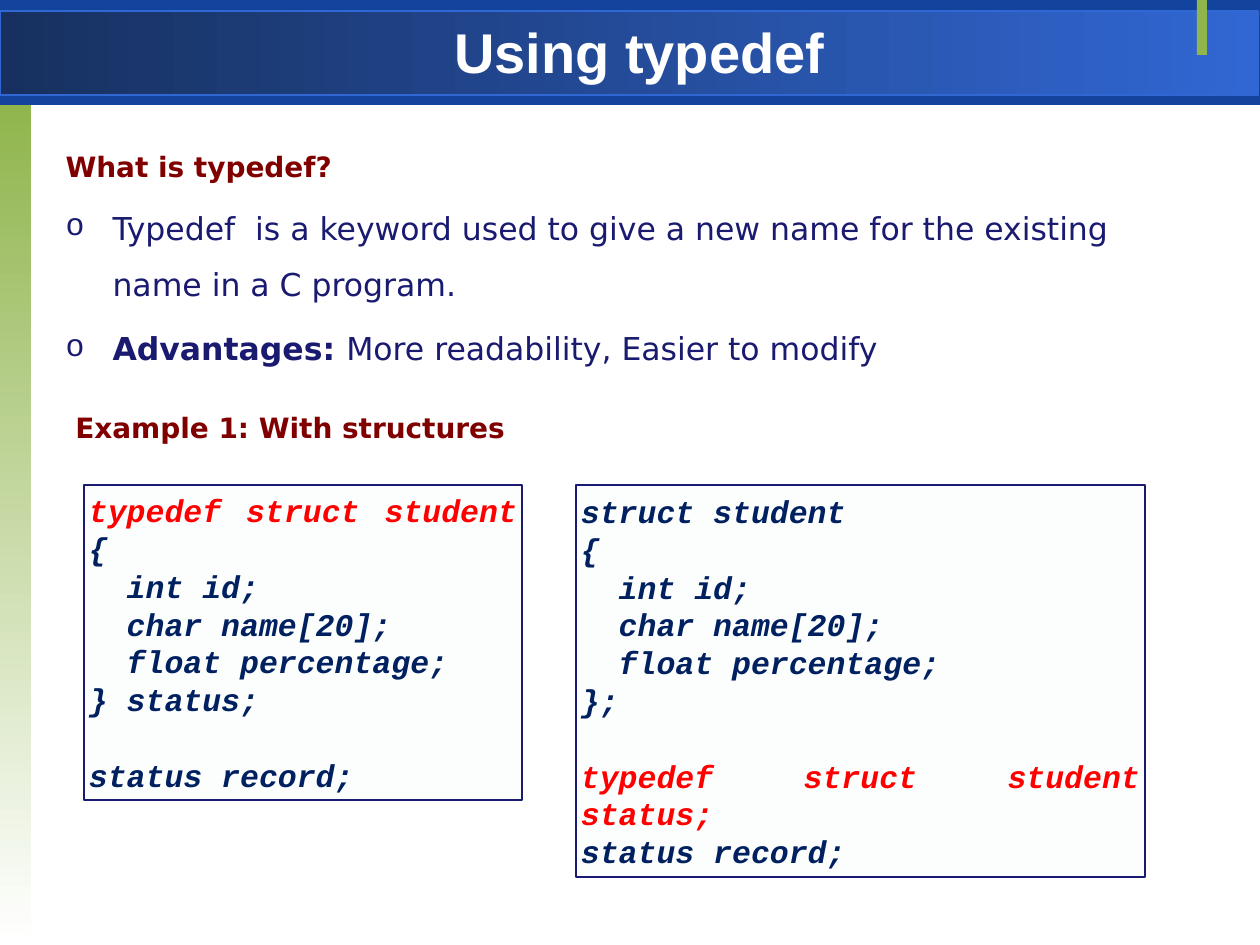
import pptx
import pptx.dml.color
import pptx.enum.shapes
import pptx.enum.text
import pptx.oxml
import pptx.util
from pptx.oxml.ns import qn

PX = 914400 / 126
NAVY, MAROON, CODE, RED = "1A1A70", "800000", "002060", "FF0000"
ANCHOR = pptx.enum.text.MSO_ANCHOR
ALIGN = pptx.enum.text.PP_ALIGN


def color(value):
    return pptx.dml.color.RGBColor.from_string(value)


def add_run(paragraph, text, font, size, fill, bold=True, italic=False):
    run = paragraph.add_run()
    run.text = text
    run.font.name = font
    run.font.size = pptx.util.Pt(size)
    run.font.bold = bold
    run.font.italic = italic
    run.font.color.rgb = color(fill)


presentation = pptx.Presentation()
presentation.slide_width = pptx.util.Inches(10)
presentation.slide_height = pptx.util.Inches(7.5)
slide = presentation.slides.add_slide(presentation.slide_layouts[1])
shapes = slide.shapes
title, body = shapes.title, slide.placeholders[1]

# Header band, side strip and accent: box in px, colours, gradient angle, line
decorations = [
    ((0, 0, 1260, 105), ["12449E"], 0, None),
    ((0, 11, 1258, 84), ["17305F", "3167D3"], 0, "3167D3"),
    ((0, 105, 31, 837), ["90B54D", "FFFFFF"], 270, None),
    ((1197, 0, 10, 55), ["90B54D"], 0, None),
]
for box, fills, angle, line in decorations:
    shape = shapes.add_shape(pptx.enum.shapes.MSO_SHAPE.RECTANGLE, *[round(v * PX) for v in box])
    shape.shadow.inherit = False
    if len(fills) == 1:
        shape.fill.solid()
        shape.fill.fore_color.rgb = color(fills[0])
    else:
        shape.fill.gradient()
        shape.fill.gradient_angle = angle
        for stop, value in zip(shape.fill.gradient_stops, fills):
            stop.color.rgb = color(value)
    if line:
        shape.line.color.rgb = color(line)
        shape.line.width = pptx.util.Pt(0.75)
    else:
        shape.line.fill.background()

# Title and body text, in front of the decorations
for placeholder, box, anchor in [
    (title, (44, 8, 1191, 87), ANCHOR.MIDDLE),
    (body, (53, 126, 1134, 252), ANCHOR.TOP),
]:
    placeholder.left, placeholder.top, placeholder.width, placeholder.height = [
        round(v * PX) for v in box
    ]
    placeholder.text_frame.word_wrap = True
    placeholder.text_frame.auto_size = pptx.enum.text.MSO_AUTO_SIZE.NONE
    placeholder.text_frame.vertical_anchor = anchor
    shapes._spTree.append(placeholder._element)

paragraph = title.text_frame.paragraphs[0]
paragraph.alignment = ALIGN.CENTER
add_run(paragraph, "Using typedef", "Arial", 32, "FFFFFF")

body_paragraphs = [
    (False, [("What is typedef?", 16, MAROON, True)]),
    (True, [("Typedef  is a keyword used to give a new name for the existing name in a C program.",
             18, NAVY, False)]),
    (True, [("Advantages: ", 18, NAVY, True),
            ("More readability, Easier to modify", 18, NAVY, False)]),
]
for index, (bulleted, runs) in enumerate(body_paragraphs):
    frame = body.text_frame
    paragraph = frame.add_paragraph() if index else frame.paragraphs[0]
    paragraph.line_spacing = 1.5
    paragraph.space_before = pptx.util.Pt(4)
    properties = paragraph._p.get_or_add_pPr()
    indent = round(47 * PX) if bulleted else 0
    properties.set("marL", str(indent))
    properties.set("indent", str(-indent))
    if bulleted:
        bullet_font = properties.makeelement(qn("a:buFont"), {"typeface": "Courier New"})
        properties.append(bullet_font)
        properties.append(properties.makeelement(qn("a:buChar"), {"char": "o"}))
    else:
        properties.append(properties.makeelement(qn("a:buNone"), {}))
    for text, size, fill, bold in runs:
        add_run(paragraph, text, "DejaVu Sans", size, fill, bold)

example = shapes.add_textbox(*[round(v * PX) for v in (63, 404, 459, 47)])
example.text_frame.word_wrap = False
add_run(example.text_frame.paragraphs[0], "Example 1: With structures", "DejaVu Sans", 16, MAROON)

# Code boxes; a line marked True stands one blank line below the previous one
members = ["{", "\u00a0\u00a0int id;".replace("\u00a0", " "), "  char name[20];", "  float percentage;"]
code_boxes = [
    ((84, 485, 438, 315),
     [("typedef struct student ", RED, False)]
     + [(member, CODE, False) for member in members]
     + [("} status;", CODE, False), ("status record;", CODE, True)]),
    ((576, 485, 569, 392),
     [("struct student ", CODE, False)]
     + [(member, CODE, False) for member in members]
     + [("};", CODE, False), ("typedef struct student status;", RED, True),
        ("status record;", CODE, False)]),
]
for box, lines in code_boxes:
    shape = shapes.add_shape(pptx.enum.shapes.MSO_SHAPE.RECTANGLE, *[round(v * PX) for v in box])
    shape.shadow.inherit = False
    shape.fill.solid()
    shape.fill.fore_color.rgb = color("FCFEFE")
    shape.line.color.rgb = color(NAVY)
    shape.line.width = pptx.util.Pt(0.75)
    frame = shape.text_frame
    frame.word_wrap = True
    frame.vertical_anchor = ANCHOR.MIDDLE
    frame.margin_left = frame.margin_right = round(5 * PX)
    frame.margin_top = frame.margin_bottom = round(5 * PX)
    for index, (text, fill, gap_before) in enumerate(lines):
        paragraph = frame.add_paragraph() if index else frame.paragraphs[0]
        paragraph.alignment = ALIGN.JUSTIFY
        if gap_before:
            paragraph.space_before = pptx.util.Pt(21.6)
        add_run(paragraph, text, "Courier New", 18, fill, italic=True)

presentation.save("out.pptx")
